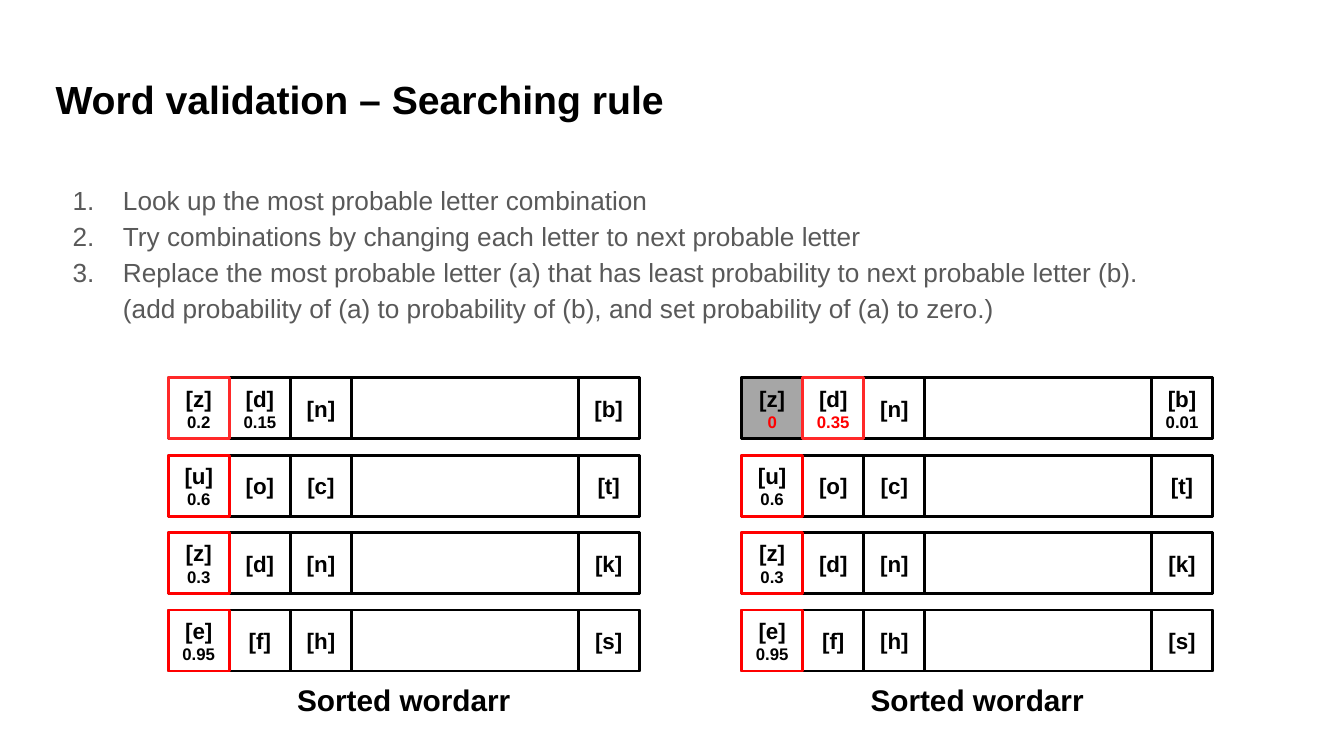
from lxml.etree import SubElement
from pptx import Presentation
from pptx.dml.color import RGBColor
from pptx.enum.shapes import MSO_SHAPE as Shape
from pptx.enum.text import MSO_ANCHOR as Anchor, PP_ALIGN as Align
from pptx.oxml.ns import qn
from pptx.util import Cm, Pt

BLACK = RGBColor(0x00, 0x00, 0x00)
WHITE = RGBColor(0xFF, 0xFF, 0xFF)
GREY = RGBColor(0x59, 0x59, 0x59)
SHADE = RGBColor(0xA6, 0xA6, 0xA6)
RED = RGBColor(0xFF, 0x00, 0x00)
ROSE = RGBColor(0xFF, 0x29, 0x29)

SIDE = 1.54    # cell side, cm
WIDE = 11.87   # row width
STEP = 1.95    # row pitch
TOP = 9.52     # first row

RULES = [
    "Look up the most probable letter combination",
    "Try combinations by changing each letter to next probable letter",
    "Replace the most probable letter (a) that has least probability "
    "to next probable letter (b).",
]
NOTE = ("\t(add probability of (a) to probability of (b), "
        "and set probability of (a) to zero.)")

# A cell is (letter, probability, format); the last one sits at the row's end.
PICK = {"edge": RED, "fill": WHITE}
TAIL = [
    [("u", "0.6", PICK), ("o", "", {}), ("c", "", {}), ("t", "", {})],
    [("z", "0.3", PICK), ("d", "", {}), ("n", "", {}), ("k", "", {})],
    [("e", "0.95", PICK), ("f", "", {}), ("h", "", {}), ("s", "", {})],
]
FIRST = [("z", "0.2", {"edge": ROSE, "fill": WHITE}), ("d", "0.15", {}),
         ("n", "", {}), ("b", "", {})]
NEXT = [("z", "0", {"fill": SHADE, "ink": RED}),
        ("d", "0.35", {"edge": ROSE, "ink": RED}),
        ("n", "", {}), ("b", "0.01", {})]


def write(para, text, size, color=BLACK, bold=True):
    """Add one Arial run to a paragraph."""
    run = para.add_run()
    run.text = text
    font = {"name": "Arial", "size": Pt(size), "bold": bold}
    for key, value in font.items():
        setattr(run.font, key, value)
    run.font.color.rgb = color


def add_text(shapes, x, y, w, h, pad=0.25):
    """Add a wrapping text box and return its frame."""
    frame = shapes.add_textbox(Cm(x), Cm(y), Cm(w), Cm(h)).text_frame
    frame.word_wrap = True
    for edge in ("left", "right", "top", "bottom"):
        setattr(frame, f"margin_{edge}", Cm(pad))
    return frame


def add_box(shapes, x, y, w, edge=BLACK, fill=None):
    """Add an outlined box one cell high."""
    box = shapes.add_shape(Shape.RECTANGLE, Cm(x), Cm(y), Cm(w), Cm(SIDE))
    box.shadow.inherit = False
    box.line.color.rgb = edge
    box.line.width = Pt(2)
    if fill is None:
        box.fill.background()
    else:
        box.fill.solid()
        box.fill.fore_color.rgb = fill
    return box


def add_cell(shapes, x, y, letter, prob, edge=BLACK, fill=None, ink=BLACK):
    """Add a letter cell, with its probability below if it has one."""
    frame = add_box(shapes, x, y, SIDE, edge, fill).text_frame
    frame.vertical_anchor = Anchor.MIDDLE
    frame.margin_left = frame.margin_right = 0
    para = frame.paragraphs[0]
    para.alignment = Align.CENTER
    write(para, f"[{letter}]", 16)
    if prob:
        para = frame.add_paragraph()
        para.alignment = Align.CENTER
        write(para, prob, 12, ink)


def add_row(shapes, left, y, cells):
    """Add a row frame and its cells, those with a red edge on top."""
    add_box(shapes, left, y, WIDE)
    spots = [left + i * SIDE for i in range(3)] + [left + WIDE - SIDE]
    pairs = sorted(zip(spots, cells), key=lambda pair: "edge" in pair[1][2])
    for x, (letter, prob, form) in pairs:
        add_cell(shapes, x, y, letter, prob, **form)


def add_array(slide, left, rows):
    """Add a group of sorted rows with a caption below."""
    shapes = slide.shapes.add_group_shape().shapes
    for i, cells in enumerate(rows):
        add_row(shapes, left, TOP + i * STEP, cells)
    para = add_text(shapes, left, 17.04, WIDE, 1.17, 0.13).paragraphs[0]
    para.alignment = Align.CENTER
    write(para, "Sorted wordarr", 21.3)


def indent(para, left, first):
    """Set the left margin and first-line indent of a paragraph."""
    props = para._p.get_or_add_pPr()
    props.set("marL", str(Cm(left)))
    props.set("indent", str(Cm(first)))
    return props


def number(props):
    """Give a paragraph a grey automatic number."""
    color = SubElement(props, qn("a:buClr"))
    SubElement(color, qn("a:srgbClr")).set("val", str(GREY))
    SubElement(props, qn("a:buFont")).set("typeface", "Arial")
    SubElement(props, qn("a:buAutoNum")).set("type", "arabicPeriod")


def add_rules(slide):
    """Add the numbered rules and the note under them."""
    frame = add_text(slide.shapes, 1.15, 4.27, 31.55, 12.65)
    for i, text in enumerate(RULES + [NOTE]):
        para = frame.add_paragraph() if i else frame.paragraphs[0]
        para.line_spacing = 1.15
        if text == NOTE:
            indent(para, 0.43, 0)
        else:
            number(indent(para, 1.7, -1.27))
        write(para, text, 18.7, GREY, False)


def main():
    """Build the slide and save it."""
    deck = Presentation()
    deck.slide_width, deck.slide_height = Cm(33.87), Cm(19.05)
    slide = deck.slides.add_slide(deck.slide_layouts[6])
    title = add_text(slide.shapes, 1.15, 1.65, 31.55, 2.13)
    write(title.paragraphs[0], "Word validation – Searching rule", 28)
    add_rules(slide)
    add_array(slide, 4.24, [FIRST] + TAIL)
    add_array(slide, 18.69, [NEXT] + TAIL)
    deck.save("out.pptx")


main()
